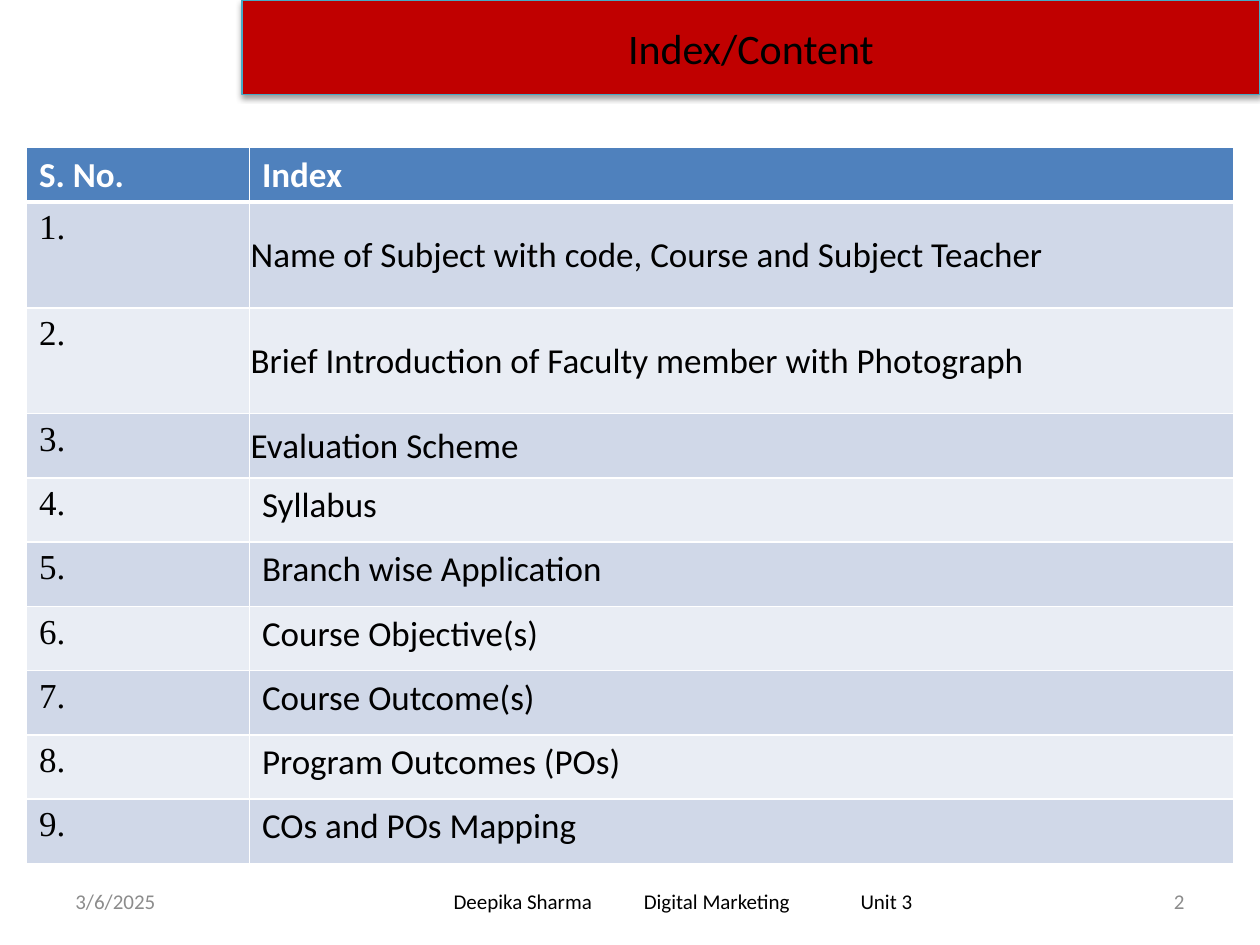
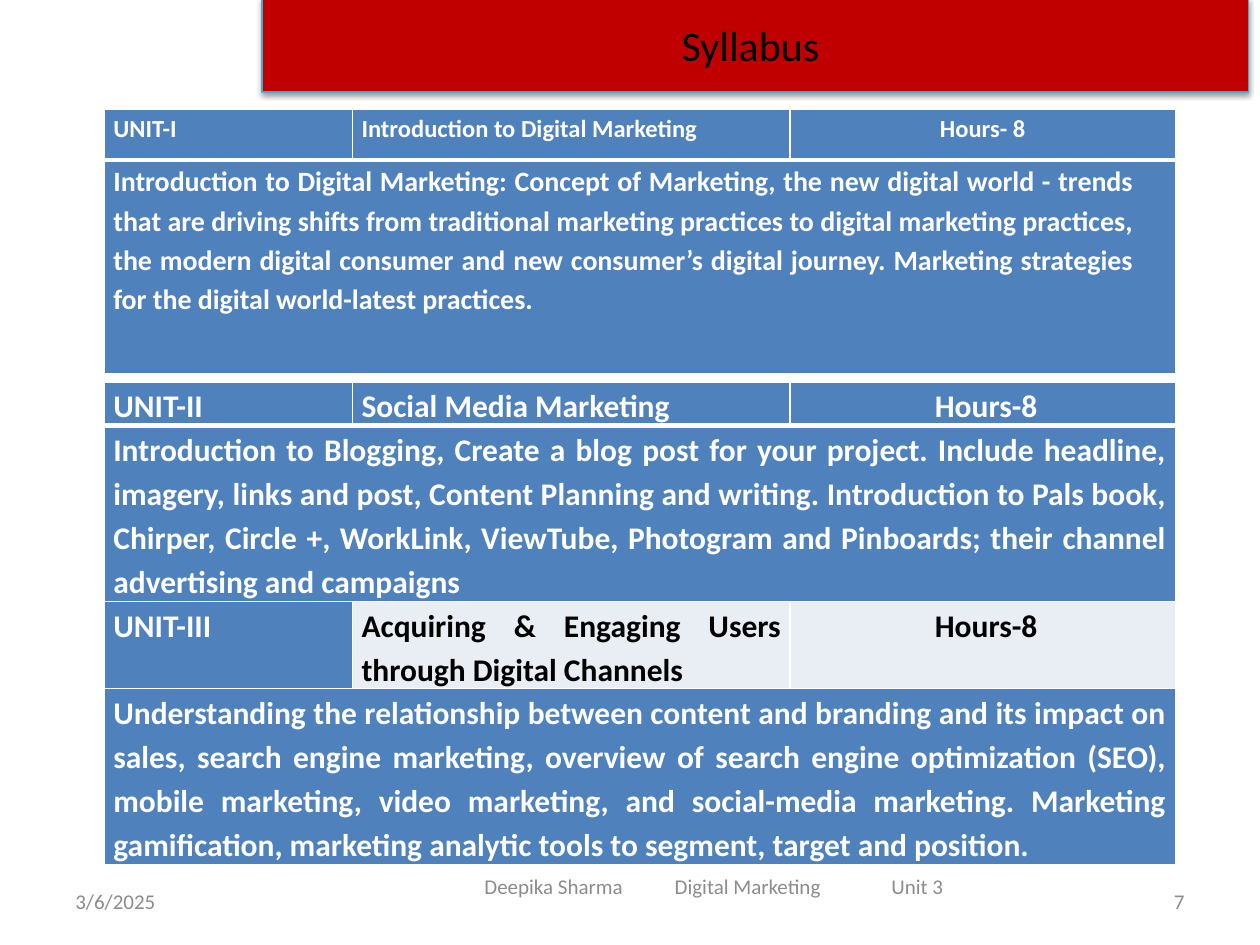
from lxml import etree
from pptx import Presentation
from pptx.dml.color import RGBColor
from pptx.enum.text import MSO_ANCHOR as Anchor, MSO_AUTO_SIZE as AutoSize, PP_ALIGN as Align
from pptx.oxml import parse_xml
from pptx.oxml.ns import nsdecls, qn
from pptx.util import Inches, Pt

RED, EDGE, BLUE, BAND, PALE = "C00000", "46AAC5", "4F81BD", "D0D8E8", "E9EDF4"
WHITE, BLACK, GREY = "FFFFFF", "000000", "8C8C8C"
DATE = "3/6/2025"
FOOTER = ("Deepika Sharma", "Digital Marketing", "Unit 3")
FOOTER_TABS, FOOTER_WIDTH = (1.51, 3.23), 3.64

INDEX_PAGE = {"title": "Index/Content", "band": (1.92, 0, 8.08, 0.75), "number": "2",
              "footer": (1.92, 6.95, 7, 0.4), "footer_color": BLACK}
SYLLABUS_PAGE = {"title": "Syllabus ", "band": (2.08, -0.02, 7.83, 0.75), "number": "7",
                 "footer": (3.08, 6.83, 5.17, 0.4), "footer_color": GREY}

INDEX_HEADS = ("S. No.", "Index")
INDEX = [
    "Name of Subject with code, Course and Subject Teacher",
    "Brief Introduction of Faculty member with Photograph",
    "Evaluation Scheme",
    "Syllabus",
    "Branch wise Application",
    "Course Objective(s)",
    "Course Outcome(s)",
    "Program Outcomes (POs)",
    "COs and POs Mapping",
]
INDEX_TALL, INDEX_FLUSH = 2, 3

UNIT_COLUMNS = (1.97, 3.47, 3.06)
UNIT_TABLES = [
    {"top": 0.87, "rows": (0.4, 1.7), "head_size": 14, "body_size": 16, "body_right": 0.33, "units": [
        (("UNIT-I", "Introduction to Digital Marketing", "Hours- 8"),
         "Introduction to Digital Marketing: Concept of Marketing, the new digital world - trends that "
         "are driving shifts from traditional marketing practices to digital marketing practices, the "
         "modern digital consumer and new consumer’s digital journey. Marketing strategies for the "
         "digital world-latest practices."),
    ]},
    {"top": 3.03, "rows": (0.33, 1.4, 0.69, 1.4), "head_size": 18, "body_size": 18, "body_right": 0.07, "units": [
        (("UNIT-II", "Social Media Marketing", " Hours-8"),
         "Introduction to Blogging, Create a blog post for your project. Include headline, imagery, "
         "links and post, Content Planning and writing. Introduction to Pals book, Chirper, Circle +, "
         "WorkLink, ViewTube, Photogram and Pinboards; their channel advertising and campaigns "),
        (("UNIT-III", "Acquiring & Engaging Users through Digital Channels", " Hours-8"),
         "Understanding the relationship between content and branding and its impact on sales, search "
         "engine marketing, overview of search engine optimization (SEO), mobile marketing, video "
         "marketing, and social-media marketing. Marketing gamification, marketing analytic tools to "
         "segment, target and position. "),
    ]},
]


def rgb(code):
    """Turn a hex string into a colour."""
    return RGBColor.from_string(code)


def assign(target, values):
    """Set each named attribute of the target."""
    for name, value in values.items():
        setattr(target, name, value)


def write(frame, text, size, color, align=Align.LEFT, bold=False, font="Calibri", spacing=None):
    """Fill a text frame with one formatted paragraph."""
    para = frame.paragraphs[0]
    assign(para, {"alignment": align, "line_spacing": spacing})
    span = para.add_run()
    span.text = text
    assign(span.font, {"name": font, "size": Pt(size), "bold": bold})
    span.font.color.rgb = rgb(color)
    return para


def add_text(page, place, text, color, align=Align.LEFT):
    """Add a small footer text box."""
    box = page.shapes.add_textbox(*map(Inches, place))
    assign(box.text_frame, {"word_wrap": True, "vertical_anchor": Anchor.MIDDLE})
    return box, write(box.text_frame, text, 12, color, align)


def add_page(deck, page_info):
    """Add a page with its title band and footers."""
    page = deck.slides.add_slide(deck.slide_layouts[5])
    band = page.shapes.title
    assign(band, dict(zip(("left", "top", "width", "height"), map(Inches, page_info["band"]))))
    band.fill.solid()
    band.fill.fore_color.rgb = rgb(RED)
    band.line.color.rgb = rgb(EDGE)
    band.line.width = Pt(0.75)
    band._element.spPr.append(parse_xml(
        f'<a:effectLst {nsdecls("a")}><a:outerShdw blurRad="40000" dist="20000" dir="5400000" rotWithShape="0">'
        f'<a:srgbClr val="{BLACK}"><a:alpha val="38000"/></a:srgbClr></a:outerShdw></a:effectLst>'))
    assign(band.text_frame, {"auto_size": AutoSize.NONE, "word_wrap": True, "vertical_anchor": Anchor.MIDDLE})
    write(band.text_frame, page_info["title"], 24, BLACK, Align.CENTER)

    add_text(page, (0.5, 6.95, 2.33, 0.4), DATE, GREY)
    box, para = add_text(page, page_info["footer"], "\t".join(FOOTER), page_info["footer_color"])
    box.text_frame.margin_left = Inches((page_info["footer"][2] - FOOTER_WIDTH) / 2)
    box.text_frame.margin_right = 0
    stops = etree.SubElement(para._p.get_or_add_pPr(), qn("a:tabLst"))
    for stop in FOOTER_TABS:
        etree.SubElement(stops, qn("a:tab"), pos=str(Inches(stop)), algn="l")
    add_text(page, (7.17, 6.95, 2.33, 0.4), page_info["number"], GREY, Align.RIGHT)
    return page


def add_grid(page, left, top, columns, rows):
    """Add a table with the given column widths and row heights."""
    place = map(Inches, (left, top, sum(columns), sum(rows)))
    table = page.shapes.add_table(len(rows), len(columns), *place).table
    for column, width in zip(table.columns, columns):
        column.width = Inches(width)
    for row, height in zip(table.rows, rows):
        row.height = Inches(height)
    return table


def paint(table, row, column, color):
    """Fill a cell and rule it in white, thick below the first row."""
    cell = table.cell(row, column)
    cell.fill.solid()
    cell.fill.fore_color.rgb = rgb(color)
    thick = {0: "lnB", 1: "lnT"}.get(row)
    for order, side in enumerate(("lnL", "lnR", "lnT", "lnB")):
        width = Pt(3 if side == thick else 1)
        cell._tc.get_or_add_tcPr().insert(order, parse_xml(
            f'<a:{side} {nsdecls("a")} w="{width}"><a:solidFill><a:srgbClr val="{WHITE}"/></a:solidFill></a:{side}>'))
    return cell


def margins(left, top, right, bottom):
    """Give cell margins as format values."""
    names = ("margin_left", "margin_top", "margin_right", "margin_bottom")
    return dict(zip(names, map(Inches, (left, top, right, bottom))))


def add_index(page):
    """Draw the numbered index table."""
    rows = [0.43] + [0.84 if place < INDEX_TALL else 0.51 for place in range(len(INDEX))]
    table = add_grid(page, 0.21, 1.17, (1.77, 7.81), rows)
    for column, head in enumerate(INDEX_HEADS):
        write(paint(table, 0, column, BLUE).text_frame, head, 20, WHITE, bold=True)
    for row, entry in enumerate(INDEX, 1):
        color = BAND if row % 2 else PALE
        write(paint(table, row, 0, color).text_frame, f"{row}.", 20, BLACK, font="Times New Roman")
        cell = paint(table, row, 1, color)
        write(cell.text_frame, entry, 20, BLACK)
        if row <= INDEX_FLUSH:
            assign(cell, {"vertical_anchor": Anchor.MIDDLE, **margins(0.01, 0.01, 0.01, 0)})


def add_units(page, block):
    """Draw a table of units, each a heading row above a merged text row."""
    table = add_grid(page, 0.83, block["top"], UNIT_COLUMNS, block["rows"])
    aligns = (Align.LEFT, Align.JUSTIFY, Align.CENTER)
    for place, (heads, body) in enumerate(block["units"]):
        row = 2 * place
        for column, (head, align) in enumerate(zip(heads, aligns)):
            pale = place > 0 and column > 0
            cell = paint(table, row, column, PALE if pale else BLUE)
            assign(cell, margins(0.07, 0, 0.07, 0))
            write(cell.text_frame, head, block["head_size"], BLACK if pale else WHITE, align, True, spacing=1.15)
            paint(table, row + 1, column, BLUE)
        cell = table.cell(row + 1, 0)
        cell.merge(table.cell(row + 1, len(UNIT_COLUMNS) - 1))
        assign(cell, margins(0.07, 0, block["body_right"], 0))
        write(cell.text_frame, body, block["body_size"], WHITE, Align.JUSTIFY, True, spacing=1.15)


def main():
    """Build and save the deck."""
    deck = Presentation()
    assign(deck, {"slide_width": Inches(10), "slide_height": Inches(7.5)})
    add_index(add_page(deck, INDEX_PAGE))
    syllabus = add_page(deck, SYLLABUS_PAGE)
    for block in UNIT_TABLES:
        add_units(syllabus, block)
    deck.save("out.pptx")


if __name__ == "__main__":
    main()
